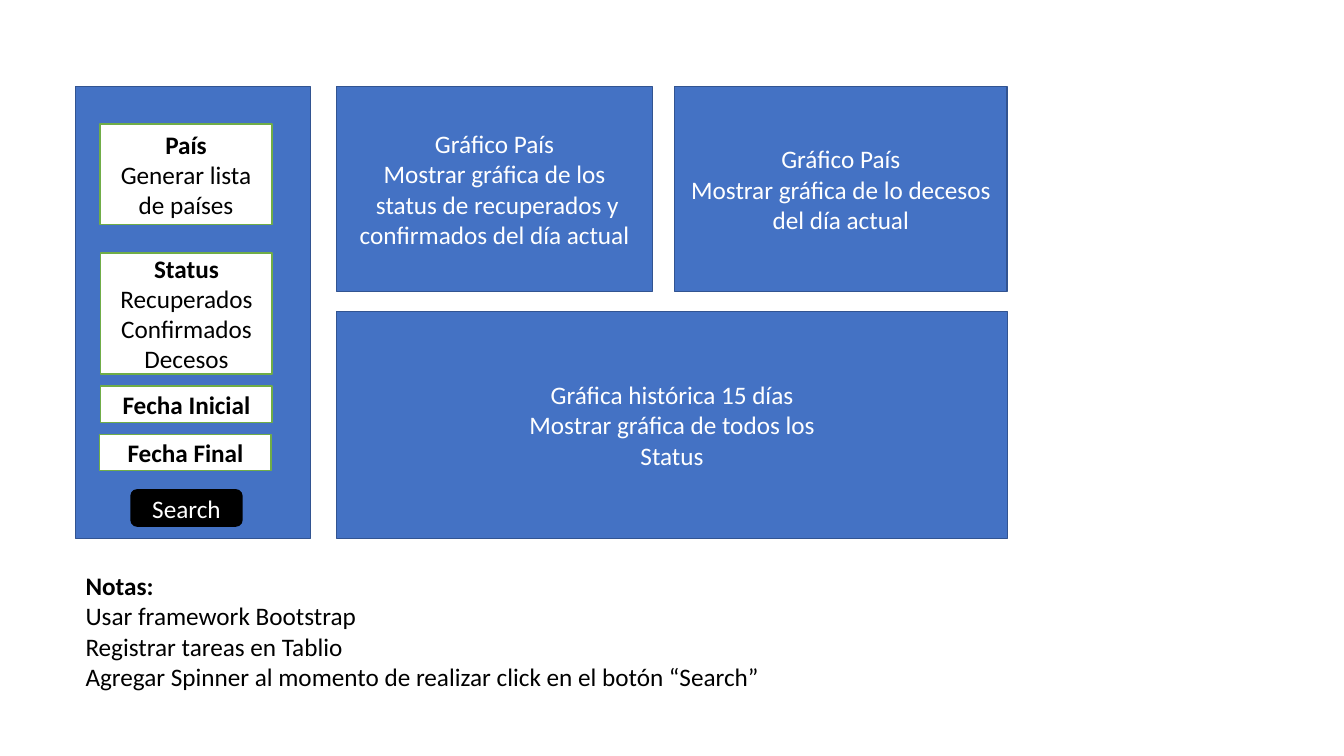
from pptx import Presentation
from pptx.dml.color import RGBColor
from pptx.enum.shapes import MSO_SHAPE
from pptx.enum.text import MSO_ANCHOR, MSO_AUTO_SIZE, PP_ALIGN
from pptx.util import Inches, Pt

COLORS = {"blue": "4472C4", "navy": "325491", "green": "70AD47",
          "white": "FFFFFF", "black": "000000"}


def rgb(name):
    return RGBColor.from_string(COLORS[name])


def write(tf, lines, color, align, bold_first):
    tf.text = "\n".join(lines)
    for i, p in enumerate(tf.paragraphs):
        p.alignment = align
        for r in p.runs:
            r.font.name = "Calibri"
            r.font.size = Pt(18)
            r.font.bold = bold_first and i == 0
            r.font.color.rgb = rgb(color)


prs = Presentation()
prs.slide_width, prs.slide_height = Inches(13.33), Inches(7.5)
slide = prs.slides.add_slide(prs.slide_layouts[6])

# Box styles: fill, line, text colour, bold first line
PANEL = ("blue", "navy", "white", False)
FIELD = ("white", "green", "black", True)
BUTTON = ("black", "black", "white", False)
RECT, ROUND = MSO_SHAPE.RECTANGLE, MSO_SHAPE.ROUNDED_RECTANGLE

boxes = [
    # Filter sidebar and chart panels
    (RECT, PANEL, (0.75, 0.86, 2.33, 4.48), []),
    (RECT, PANEL, (3.34, 0.86, 3.13, 2.03),
     ["Gráfico País", "Mostrar gráfica de los",
      " status de recuperados y confirmados del día actual"]),
    (RECT, PANEL, (6.69, 0.86, 3.3, 2.03),
     ["Gráfico País", "Mostrar gráfica de lo decesos del día actual"]),
    (RECT, PANEL, (3.34, 3.09, 6.65, 2.25),
     ["Gráfica histórica 15 días", "Mostrar gráfica de todos los", "Status"]),
    # Filter fields and search button
    (RECT, FIELD, (0.99, 1.23, 1.71, 1), ["País", "Generar lista de países"]),
    (RECT, FIELD, (1, 2.51, 1.7, 1.2),
     ["Status", "Recuperados", "Confirmados", "Decesos"]),
    (RECT, FIELD, (1, 3.83, 1.7, 0.36), ["Fecha Inicial"]),
    (RECT, FIELD, (0.99, 4.31, 1.7, 0.36), ["Fecha Final"]),
    (ROUND, BUTTON, (1.3, 4.86, 1.1, 0.36), ["Search"]),
]
for kind, (fill, line, color, bold_first), place, lines in boxes:
    sp = slide.shapes.add_shape(kind, *map(Inches, place))
    sp.shadow.inherit = False
    sp.fill.solid()
    sp.fill.fore_color.rgb = rgb(fill)
    sp.line.color.rgb = rgb(line)
    sp.line.width = Pt(1)
    tf = sp.text_frame
    tf.word_wrap = True
    tf.vertical_anchor = MSO_ANCHOR.MIDDLE
    write(tf, lines, color, PP_ALIGN.CENTER, bold_first)

# Notes below the mock-up
notes = slide.shapes.add_textbox(Inches(0.75), Inches(5.61), Inches(6.96), Inches(1.31))
tf = notes.text_frame
tf.word_wrap = False
tf.auto_size = MSO_AUTO_SIZE.SHAPE_TO_FIT_TEXT
write(tf, ["Notas:", "Usar framework Bootstrap", "Registrar tareas en Tablio",
           "Agregar Spinner al momento de realizar click en el botón “Search”"],
      "black", PP_ALIGN.LEFT, True)

prs.save("out.pptx")
